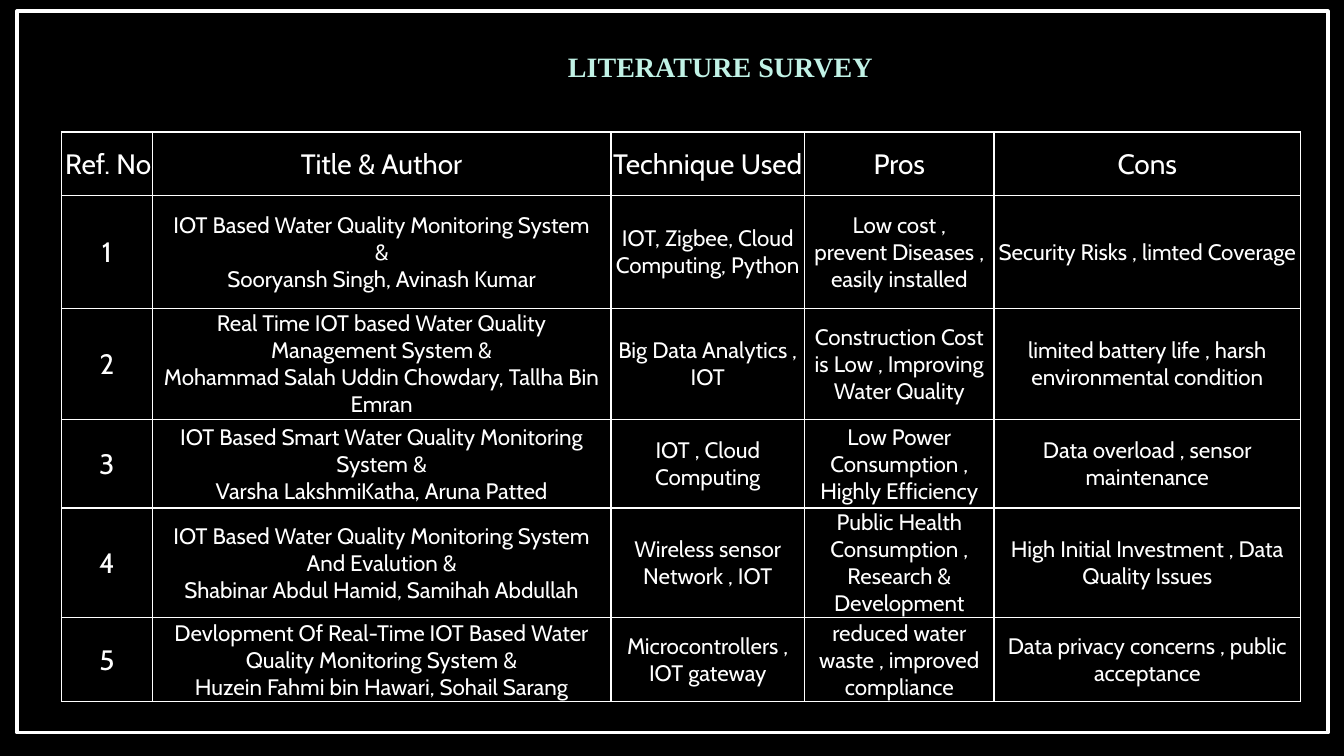
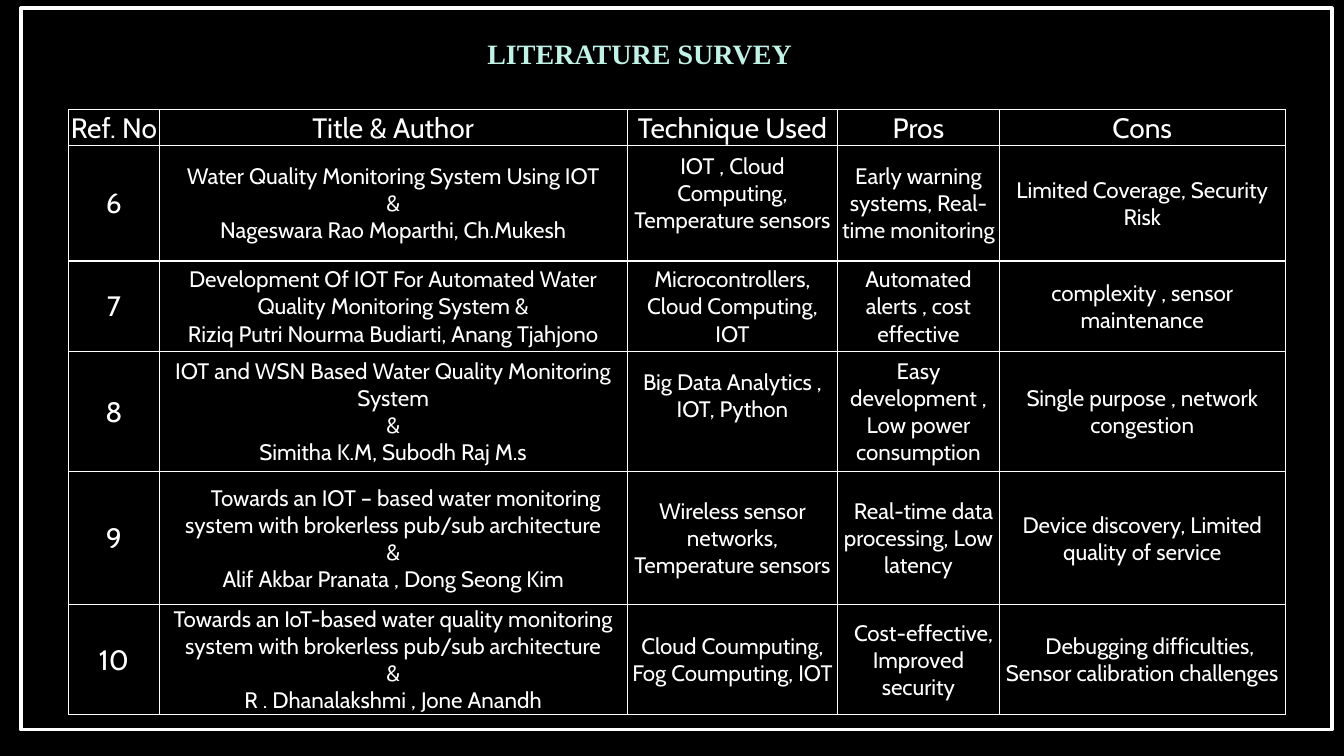
from dataclasses import dataclass, field

from lxml import etree
from pptx import Presentation
from pptx.dml.color import RGBColor
from pptx.enum.shapes import MSO_SHAPE
from pptx.enum.text import MSO_ANCHOR, PP_ALIGN
from pptx.oxml.ns import qn
from pptx.util import Inches, Pt

RECTANGLE = MSO_SHAPE.RECTANGLE
MIDDLE = MSO_ANCHOR.MIDDLE
CENTER, RIGHT = PP_ALIGN.CENTER, PP_ALIGN.RIGHT


@dataclass(frozen=True)
class Theme:
    background: str = "000000"
    text: str = "FFFFFF"
    title: str = "C1F2E6"
    title_font: str = "Times New Roman"
    table_font: str = "Cabin"
    large: int = 20
    body: int = 16
    frame_width: float = 2.5
    border_width: float = 1
    cell_margin: float = 0.01


@dataclass
class Survey:
    """One slide; places are (left, top) or (left, top, width, height) in inches."""
    frame_place: tuple
    title_place: tuple
    table_place: tuple
    column_widths: tuple
    row_heights: tuple
    entries: list
    reference_align: int = CENTER
    # Adjustments by (row, column), in inches
    indents: dict = field(default_factory=dict)
    bottom_margins: dict = field(default_factory=dict)


THEME = Theme()
TITLE = "LITERATURE SURVEY"
FRAME_SIZE = (13, 7.16)
HEADERS = ("Ref. No", "Title & Author", "Technique Used", "Pros", "Cons")

SURVEYS = [
    Survey(
        frame_place=(0.17, 0.11),
        title_place=(4.87, 0.22, 4.55, 0.92),
        table_place=(0.61, 1.31),
        column_widths=(0.9, 4.55, 1.92, 1.88, 3.04),
        row_heights=(0.63, 1.12, 1.1, 0.88, 1.09, 0.83),
        reference_align=RIGHT,
        entries=[
            ("1",
             "IOT Based Water Quality Monitoring System\n&\nSooryansh Singh, Avinash Kumar",
             "IOT, Zigbee, Cloud Computing, Python",
             "Low cost ,\nprevent Diseases , easily installed",
             "Security Risks , limted Coverage"),
            ("2",
             "Real Time IOT based Water Quality Management System &\n"
             "Mohammad Salah Uddin Chowdary, Tallha Bin Emran",
             "Big Data Analytics , IOT",
             "Construction Cost is Low , Improving Water Quality",
             "limited battery life , harsh environmental condition"),
            ("3",
             "IOT Based Smart Water Quality Monitoring System &\n"
             "Varsha LakshmiKatha, Aruna Patted",
             "IOT , Cloud Computing",
             "Low Power Consumption , Highly Efficiency",
             "Data overload , sensor maintenance"),
            ("4",
             "IOT Based Water Quality Monitoring System And Evalution &\n"
             "Shabinar Abdul Hamid, Samihah Abdullah",
             "Wireless sensor Network , IOT",
             "Public Health Consumption , Research & Development",
             "High Initial Investment , Data Quality Issues"),
            ("5",
             "Devlopment Of Real-Time IOT Based Water Quality Monitoring System &\n"
             "Huzein Fahmi bin Hawari, Sohail Sarang",
             "Microcontrollers , IOT gateway",
             "reduced water waste , improved compliance",
             "Data privacy concerns , public acceptance"),
        ],
    ),
    Survey(
        frame_place=(0.21, 0.08),
        title_place=(0.68, 0.09, 11.33, 0.92),
        table_place=(0.68, 1.09),
        column_widths=(0.9, 4.64, 2.09, 1.6, 2.84),
        row_heights=(0.35, 1.15, 0.9, 1.19, 1.32, 1.09),
        indents={(4, 1): 0.25, (4, 3): 0.1, (5, 3): 0.1, (5, 4): 0.15},
        bottom_margins={(1, 2): 0.2, (3, 2): 0.33},
        entries=[
            ("6",
             "Water Quality Monitoring System Using IOT\n&\nNageswara Rao Moparthi, Ch.Mukesh",
             "IOT , Cloud Computing, Temperature sensors",
             "Early warning systems, Real-time monitoring",
             "Limited Coverage, Security Risk"),
            ("7",
             "Development Of IOT For Automated Water Quality Monitoring System &\n"
             "Riziq Putri Nourma Budiarti, Anang Tjahjono",
             "Microcontrollers, Cloud Computing, IOT",
             "Automated alerts , cost effective",
             "complexity , sensor maintenance"),
            ("8",
             "IOT and WSN Based Water Quality Monitoring System\n&\nSimitha K.M, Subodh Raj M.s",
             "Big Data Analytics , IOT, Python",
             "Easy development ,\nLow power consumption",
             "Single purpose , network congestion"),
            ("9",
             "Towards an IOT – based water monitoring system with brokerless "
             "pub/sub architecture\n&\nAlif Akbar Pranata , Dong Seong Kim",
             "Wireless sensor networks, Temperature sensors",
             "Real-time data processing, Low latency",
             "Device discovery, Limited quality of service"),
            ("10",
             "Towards an IoT-based water quality monitoring system with brokerless "
             "pub/sub architecture\n&\nR . Dhanalakshmi , Jone Anandh",
             "Cloud Coumputing, Fog Coumputing, IOT",
             "Cost-effective, Improved security",
             "Debugging difficulties, Sensor calibration challenges"),
        ],
    ),
]


def color(value):
    return RGBColor.from_string(value)


def inches(values):
    return [Inches(value) for value in values]


def style_font(font, name, size, hex_color, bold=False):
    font.name = name
    font.size = Pt(size)
    font.bold = bold
    font.color.rgb = color(hex_color)


def add_frame(slide, place):
    frame = slide.shapes.add_shape(RECTANGLE, *inches(place + FRAME_SIZE))
    frame.shadow.inherit = False
    frame.fill.background()
    frame.line.color.rgb = color(THEME.text)
    frame.line.width = Pt(THEME.frame_width)


def add_title(slide, place):
    text_frame = slide.shapes.add_textbox(*inches(place)).text_frame
    text_frame.word_wrap = True
    text_frame.vertical_anchor = MIDDLE
    text_frame.text = TITLE
    paragraph = text_frame.paragraphs[0]
    paragraph.alignment = CENTER
    paragraph.line_spacing = 0.9
    style_font(paragraph.runs[0].font, THEME.title_font, THEME.large, THEME.title, bold=True)


def add_borders(cell):
    properties = cell._tc.get_or_add_tcPr()
    for side in ("a:lnL", "a:lnR", "a:lnT", "a:lnB"):
        line = etree.SubElement(properties, qn(side), w=str(Pt(THEME.border_width)))
        fill = etree.SubElement(line, qn("a:solidFill"))
        etree.SubElement(fill, qn("a:srgbClr"), val=THEME.text)


def fill_cell(cell, text, size, alignment, indent, bottom_margin):
    add_borders(cell)
    cell.fill.background()
    cell.vertical_anchor = MIDDLE
    cell.margin_left = cell.margin_right = cell.margin_top = Inches(THEME.cell_margin)
    cell.margin_bottom = Inches(bottom_margin)
    cell.text_frame.text = text
    for paragraph in cell.text_frame.paragraphs:
        paragraph.alignment = alignment
        for run in paragraph.runs:
            style_font(run.font, THEME.table_font, size, THEME.text)
    if indent:
        first = cell.text_frame.paragraphs[0]
        first._p.get_or_add_pPr().set("indent", str(Inches(indent)))


def add_survey_table(slide, survey):
    rows = [HEADERS] + survey.entries
    size = (sum(survey.column_widths), sum(survey.row_heights))
    table = slide.shapes.add_table(
        len(rows), len(HEADERS), *inches(survey.table_place + size)).table
    table.first_row = table.horz_banding = False
    for column, width in zip(table.columns, survey.column_widths):
        column.width = Inches(width)
    for row, height in zip(table.rows, survey.row_heights):
        row.height = Inches(height)
    for row_index, texts in enumerate(rows):
        for column_index, text in enumerate(texts):
            position = (row_index, column_index)
            fill_cell(
                table.cell(*position), text,
                size=THEME.body if row_index and column_index else THEME.large,
                alignment=survey.reference_align if position == (0, 0) else CENTER,
                indent=survey.indents.get(position, 0),
                bottom_margin=survey.bottom_margins.get(position, 0))


def add_survey_slide(presentation, survey):
    slide = presentation.slides.add_slide(presentation.slide_layouts[6])
    slide.background.fill.solid()
    slide.background.fill.fore_color.rgb = color(THEME.background)
    add_frame(slide, survey.frame_place)
    add_title(slide, survey.title_place)
    add_survey_table(slide, survey)


def main():
    presentation = Presentation()
    presentation.slide_width = Inches(13.33)
    presentation.slide_height = Inches(7.5)
    for survey in SURVEYS:
        add_survey_slide(presentation, survey)
    presentation.save("out.pptx")


if __name__ == "__main__":
    main()
